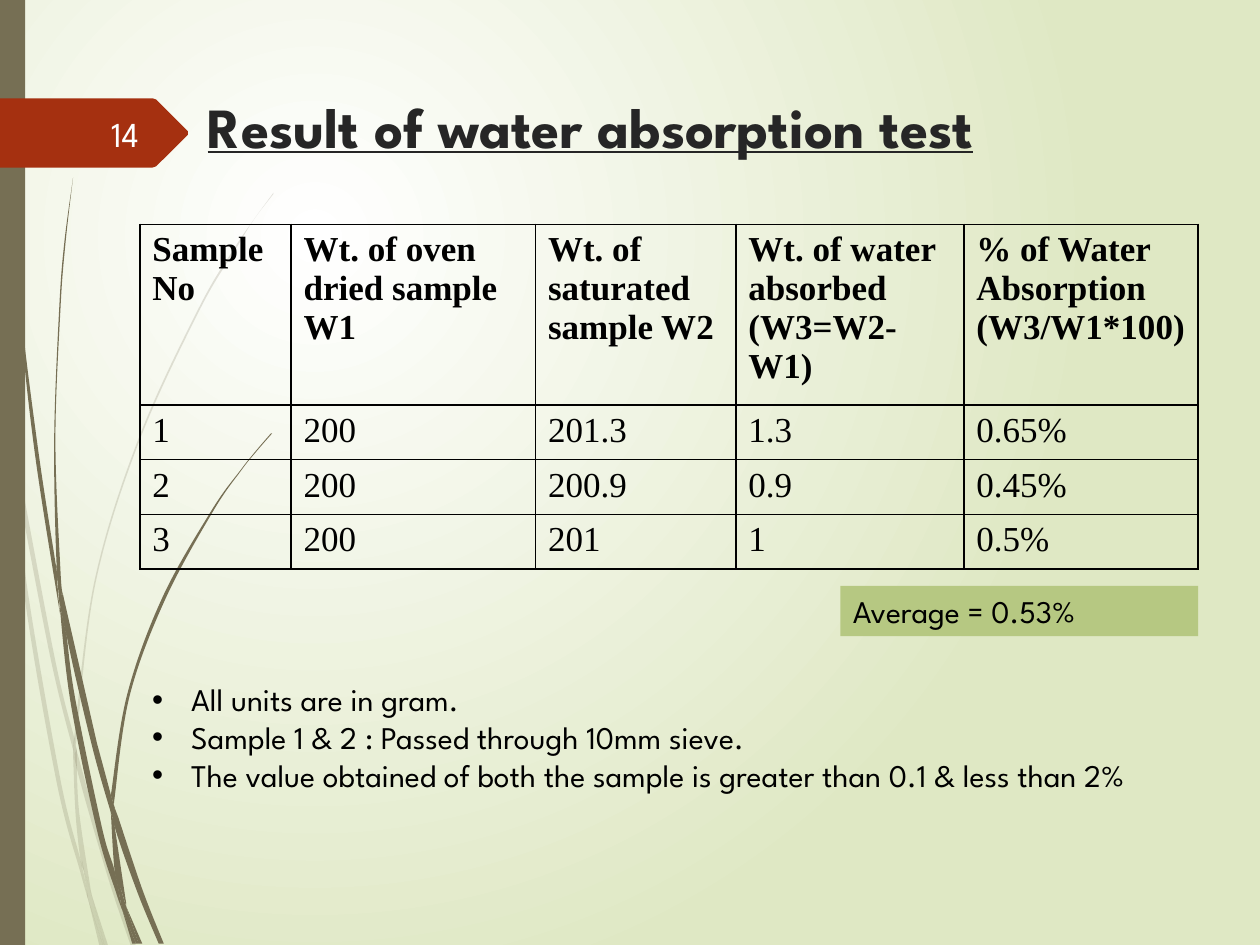
from dataclasses import dataclass
from typing import NamedTuple

from lxml import etree
from pptx import Presentation
from pptx.dml.color import RGBColor
from pptx.enum.shapes import MSO_SHAPE
from pptx.enum.text import MSO_ANCHOR, PP_ALIGN
from pptx.oxml.ns import qn
from pptx.util import Inches, Pt

RECT = MSO_SHAPE.RECTANGLE
LEFT, RIGHT = PP_ALIGN.LEFT, PP_ALIGN.RIGHT
TOP, MIDDLE = MSO_ANCHOR.TOP, MSO_ANCHOR.MIDDLE

# The slide is a grid of 100 columns by 75 rows of square cells.
COLUMNS, ROWS = 100, 75
CELL = Inches(0.1)
MARGIN, CONTENT_W = 11.1, 84

COLORS = {"white": "FFFFFF", "pale": "DFE8C4", "bark": "766F54", "tag": "A53010",
          "title": "262626", "number": "FEFFFF", "ink": "000000", "average": "B6C882"}
SPARTAN, TIMES = "League Spartan", "Times New Roman"

Point = tuple[float, float]


class Strand(NamedTuple):
    """A blade of grass: one edge, then the other edge back to the start."""
    out: list[Point]
    back: list[Point]


class Box(NamedTuple):
    x: float
    y: float
    w: float
    h: float


@dataclass
class Style:
    size: float
    color: str = "ink"
    font: str = SPARTAN
    bold: bool = False
    underline: bool = False


PALE_GRASS = [
    Strand([(.8, 35), (.6, 32.2), (0, 28.2)], [(0, 29.9), (.7, 34.4)]),
    Strand([(5.9, 58.6), (4.3, 52), (1, 34.5)], [(1.2, 37.6), (4, 52.2), (5.9, 59.9)]),
    Strand([(6.1, 59.6), (6.1, 61), (8.5, 69.4), (10.4, 75.1)],
           [(10.8, 75.1), (8.8, 69.2), (6.4, 60.7)]),
    Strand([(7.3, 71.1), (8.3, 75.1)], [(8.6, 75.1)]),
    Strand([(.8, 35), (1.9, 47), (4.5, 62.1), (6.4, 69.3), (7, 71.4)],
           [(6.9, 70.7), (6.4, 68.3), (4.8, 61.9), (2.2, 46.9), (1.2, 37.6)]),
    Strand([(5.8, 59.9), (6, 64.6), (6.4, 68.3), (6.7, 69.2), (7.3, 71.1)],
           [(7.2, 70.6), (6.3, 64.6), (6.1, 61), (6.1, 60.8)]),
    Strand([(6.1, 59.6), (6.1, 58.4), (7.6, 46.2), (11.1, 34.9), (15.9, 24.5),
            (18.7, 19.8), (20.1, 17.5), (21.7, 15.4)],
           [(21.7, 15.3), (20.1, 17.5), (18.6, 19.7), (15.8, 24.4), (11, 34.8),
            (7.5, 46.1), (5.9, 58.4), (5.9, 58.6)]),
    Strand([(7, 71.4), (7.9, 75.1)], [(8.2, 75.1)]),
    Strand([(6.1, 60.8), (6.1, 61), (6.1, 59.6)], [(5.9, 58.6), (5.8, 59.9)]),
    Strand([(6.7, 69.2), (6.5, 68.3), (6.9, 70.7), (7, 71.4), (8.2, 75.1)],
           [(8.3, 75.1), (7.3, 71.1)]),
]
DARK_GRASS = [
    Strand([(.2, 0), (.3, 4.8), (.5, 11), (1.4, 23.3), (2.7, 35.5), (4.6, 47.7), (4.7, 48.1)],
           [(4.5, 45.7), (4.5, 45.3), (3, 35.5), (1.5, 23.2), (.6, 10.9), (.4, 4.8), (.3, 0)]),
    Strand([(5, 47.2), (5.3, 50.5), (7.3, 59.2), (8.8, 64.5)],
           [(8.8, 63.3), (8.8, 63.1), (7.7, 59)]),
    Strand([(9.1, 64.1), (9.1, 65.6), (10.9, 70.8), (12.6, 74.9)],
           [(13, 74.9), (11.3, 70.6), (9.4, 64.9)]),
    Strand([(4.7, 47.7), (5.6, 55.7), (7.7, 65.9), (9.2, 70.8), (9.7, 72.2)],
           [(9.6, 71.7), (9.1, 69.1), (8.1, 65.7), (6, 55.6), (5.3, 50.5)]),
    Strand([(5, 47.2), (4.8, 45.3), (4.4, 34.9), (4.8, 24.5), (5.2, 19.3), (5.8, 14.1)],
           [(5.8, 14.1), (5.1, 19.3), (4.7, 24.5), (4.3, 34.9), (4.5, 44.9), (4.9, 47.2)]),
    Strand([(10, 71.9), (11, 74.9)], [(11.3, 74.9)]),
    Strand([(4.7, 47.7), (5.3, 50.5), (5, 47.2)], [(4.9, 47.2), (4.5, 44.9), (4.5, 45.3)]),
    Strand([(9.1, 64.1), (9.1, 63.3), (10.3, 55.2), (13.1, 47.6), (16.9, 40.6),
            (19.1, 37.4), (20.3, 35.9), (21.6, 34.4)],
           [(21.5, 34.4), (20.3, 35.8), (19.1, 37.3), (16.8, 40.5), (12.9, 47.4),
            (10.1, 55.1), (8.8, 63.1)]),
    Strand([(9.7, 72.2), (10.5, 74.9)], [(10.8, 74.9)]),
    Strand([(8.8, 64.5), (9.1, 69.1), (9.6, 70.6), (10, 71.9)],
           [(10, 71.6), (9.1, 65.6), (9, 65.1)]),
    Strand([(8.8, 64.5), (9, 65.1), (9.1, 65.6), (9.1, 64.1)], [(8.8, 63.1), (8.8, 63.3)]),
    Strand([(9.1, 69.1), (9.6, 71.7), (9.7, 72.2), (10.8, 74.9)],
           [(11, 74.9), (10, 71.9), (9.6, 70.6)]),
]
TAG = [(0, 7.8), (12.1, 7.8), (12.4, 7.9), (14.9, 10.4), (14.9, 10.7),
       (12.4, 13.2), (12.1, 13.3), (0, 13.3)]

COLUMN_WIDTHS = [12, 19.4, 15.9, 18.1, 18.6]
ROW_H = 4.1
TABLE = [
    ["Sample No", "Wt. of oven dried sample W1", "Wt. of saturated sample W2",
     "Wt. of water absorbed\n(W3=W2-W1)", "% of Water\nAbsorption\n(W3/W1*100)"],
    ["1", "200", "201.3", "1.3", "0.65%"],
    ["2", "200", "200.9", "0.9", "0.45%"],
    ["3", "200", "201", "1", "0.5%"],
]
NOTES = ["All units are in gram.", "Sample 1 & 2 : Passed through 10mm sieve.",
         "The value obtained of both the sample is greater than 0.1 & less than 2%"]


def cells(n: float) -> int:
    return round(n * CELL)


def rgb(name: str) -> RGBColor:
    return RGBColor.from_string(COLORS[name])


def paint(sp, color: str) -> None:
    sp.shadow.inherit = False
    sp.fill.solid()
    sp.fill.fore_color.rgb = rgb(color)
    sp.line.fill.background()


def add_outline(shapes, points: list[Point], color: str):
    start, *rest = [(cells(x), cells(y)) for x, y in points]
    builder = shapes.build_freeform(*start)
    builder.add_line_segments(rest, close=True)
    sp = builder.convert_to_shape()
    paint(sp, color)
    return sp


def bend(sp, edge_length: int) -> None:
    """Turn the lines along both edges of a strand into Catmull-Rom curves."""
    pts = [(int(pt.get("x")), int(pt.get("y"))) for pt in sp.element.iter(qn("a:pt"))]
    for i, line in enumerate(list(sp.element.iter(qn("a:lnTo")))):
        if i + 1 == edge_length or i + 1 >= len(pts):
            continue
        first, last = (0, edge_length - 1) if i < edge_length else (edge_length, len(pts) - 1)
        before, here, there, after = (pts[min(max(k, first), last)] for k in range(i - 1, i + 3))
        line.tag = qn("a:cubicBezTo")
        controls = ([h + (t - b) / 6 for b, h, t in zip(before, here, there)],
                    [t - (a - h) / 6 for h, t, a in zip(here, there, after)])
        for k, (x, y) in enumerate(controls):
            line.insert(k, etree.Element(qn("a:pt"), x=str(round(x)), y=str(round(y))))


def add_grass(s, strands: list[Strand], opacity: int = 100) -> None:
    group = s.shapes.add_group_shape()
    for strand in strands:
        sp = add_outline(group.shapes, strand.out + strand.back, "bark")
        bend(sp, len(strand.out))
        if opacity < 100:
            color = sp.element.find(".//" + qn("a:srgbClr"))
            etree.SubElement(color, qn("a:alpha"), val=str(opacity * 1000))


def write(tf, lines: list[str], style: Style, align=LEFT, anchor=TOP, bullet: str = "") -> None:
    tf.word_wrap = True
    tf.vertical_anchor = anchor
    for i, line in enumerate(lines):
        p = tf.add_paragraph() if i else tf.paragraphs[0]
        p.alignment = align
        if bullet:
            pPr = p._p.get_or_add_pPr()
            pPr.set("marL", str(cells(3.1)))
            pPr.set("indent", str(-cells(3.1)))
            etree.SubElement(pPr, qn("a:buFont"), typeface="Arial")
            etree.SubElement(pPr, qn("a:buChar"), char=bullet)
        r = p.add_run()
        r.text = line
        r.font.size, r.font.name = Pt(style.size), style.font
        r.font.bold, r.font.underline = style.bold, style.underline
        r.font.color.rgb = rgb(style.color)


def add_text(s, box: Box, lines: list[str], style: Style, **layout) -> None:
    write(s.shapes.add_textbox(*map(cells, box)).text_frame, lines, style, **layout)


def add_rect(s, box: Box, color: str):
    sp = s.shapes.add_shape(RECT, *map(cells, box))
    paint(sp, color)
    return sp


def add_borders(cell) -> None:
    tcPr = cell._tc.get_or_add_tcPr()
    for i, side in enumerate(("lnL", "lnR", "lnT", "lnB")):
        ln = etree.Element(qn(f"a:{side}"), w=str(Pt(1)))
        fill = etree.SubElement(ln, qn("a:solidFill"))
        etree.SubElement(fill, qn("a:srgbClr"), val=COLORS["ink"])
        tcPr.insert(i, ln)


def add_results(s) -> None:
    """Add the table; its header row grows to hold its text."""
    box = Box(MARGIN, 17.8, CONTENT_W, ROW_H * len(TABLE))
    table = s.shapes.add_table(len(TABLE), len(COLUMN_WIDTHS), *map(cells, box)).table
    table.first_row = table.horz_banding = False
    for column, width in zip(table.columns, COLUMN_WIDTHS):
        column.width = cells(width)
    for i, row in enumerate(table.rows):
        for cell, text in zip(row.cells, TABLE[i]):
            cell.fill.background()
            add_borders(cell)
            write(cell.text_frame, text.split("\n"), Style(20, font=TIMES, bold=i == 0))


def set_background(s) -> None:
    """Fill with a circular gradient centred a quarter of the way in."""
    fill = s.background.fill
    fill.gradient()
    for stop, position, color in zip(fill.gradient_stops, (0, 1), ("white", "pale")):
        stop.position = position
        stop.color.rgb = rgb(color)
    grad = s.element.find(".//" + qn("a:gradFill"))
    grad.remove(grad.find(qn("a:lin")))
    circle = etree.SubElement(grad, qn("a:path"), path="circle")
    etree.SubElement(circle, qn("a:fillToRect"), l="50000", t="50000", r="100000", b="100000")


def main() -> None:
    prs = Presentation()
    prs.slide_width, prs.slide_height = cells(COLUMNS), cells(ROWS)
    s = prs.slides.add_slide(prs.slide_layouts[6])
    set_background(s)
    add_grass(s, PALE_GRASS, opacity=20)
    add_grass(s, DARK_GRASS)
    add_rect(s, Box(0, 0, 2, ROWS), "bark")
    add_outline(s.shapes, TAG, "tag")
    add_text(s, Box(15.5, 6.8, 77.8, 6.9), ["Result of water absorption test"],
             Style(32.4, "title", bold=True, underline=True))
    add_results(s)
    add_text(s, Box(MARGIN, 53.5, CONTENT_W, 16.2), NOTES, Style(18), bullet="•")
    add_text(s, Box(5.6, 8.6, 6.4, 4), ["14"], Style(20, "number"), align=RIGHT, anchor=MIDDLE)
    average = add_rect(s, Box(66.7, 46.5, 28.4, 4), "average")
    write(average.text_frame, ["Average = 0.53%"], Style(18))
    prs.save("out.pptx")


if __name__ == "__main__":
    main()
